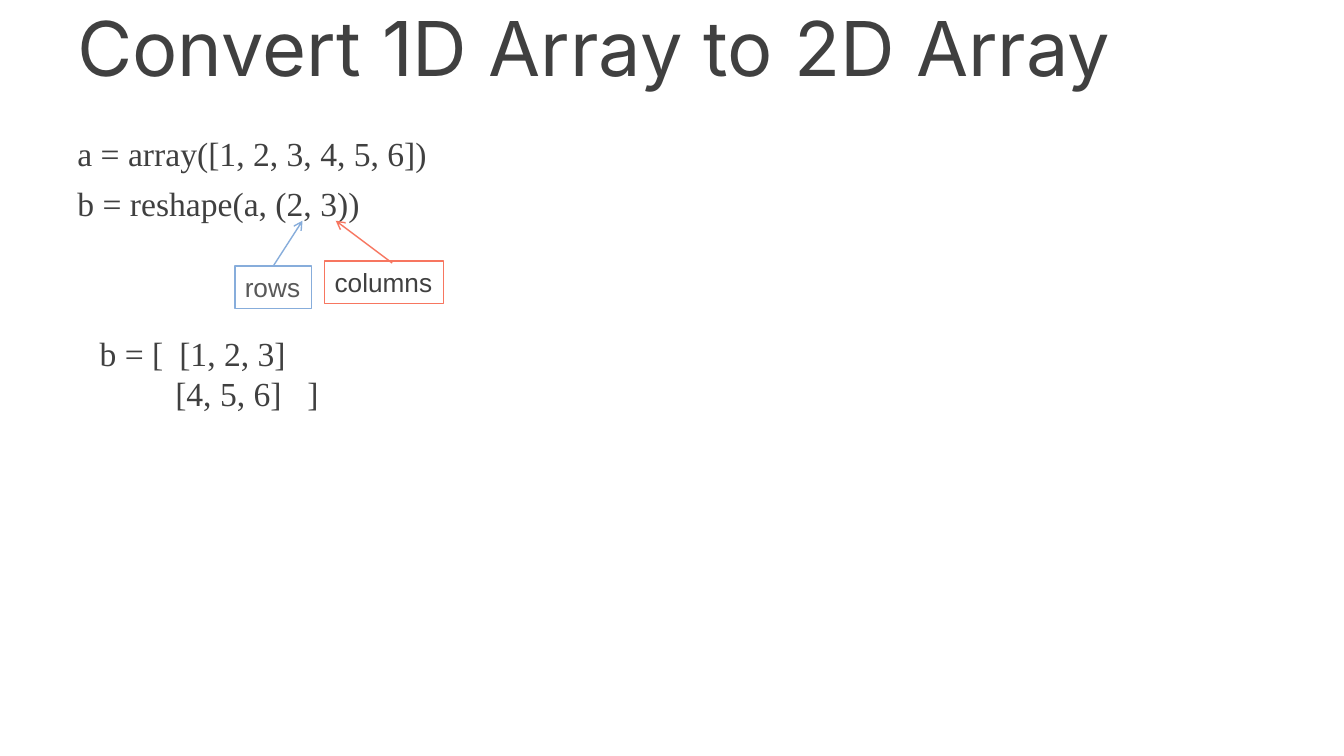
from lxml.etree import SubElement
from pptx import Presentation
from pptx.dml.color import RGBColor
from pptx.enum.shapes import MSO_CONNECTOR, MSO_SHAPE
from pptx.enum.text import MSO_ANCHOR, PP_ALIGN
from pptx.oxml.ns import qn
from pptx.util import Inches, Pt


def color(hex_value):
    return RGBColor.from_string(hex_value)


def add_text(paragraph, text, font, size, ink="404040"):
    run = paragraph.add_run()
    run.text = text
    run.font.name = font
    run.font.size = Pt(size)
    run.font.color.rgb = color(ink)


prs = Presentation()
prs.slide_width = Inches(13.33)
prs.slide_height = Inches(7.5)
slide = prs.slides.add_slide(prs.slide_layouts[6])
shapes = slide.shapes

title = shapes.add_textbox(Inches(0.67), Inches(0.06), Inches(12), Inches(1.25)).text_frame
title.word_wrap = True
title.paragraphs[0].line_spacing = 0.9
add_text(title.paragraphs[0], "Convert 1D Array to 2D Array", "Inter", 54)

code = shapes.add_textbox(Inches(0.67), Inches(1.31), Inches(12), Inches(5.89)).text_frame
code.word_wrap = True
for number, statement in enumerate(["a = array([1, 2, 3, 4, 5, 6])", "b = reshape(a, (2, 3))"]):
    paragraph = code.add_paragraph() if number else code.paragraphs[0]
    paragraph.line_spacing = 0.9
    paragraph.space_before = Pt(10)
    add_text(paragraph, statement, "Times New Roman", 24)

dimensions = [
    ("rows", 2.33, 2.64, 0.76, "87ADDB", "595959", (2.71, 2.64), (3, 2.19)),
    ("columns", 3.22, 2.59, 1.18, "F77660", "404040", (3.89, 2.61), (3.33, 2.19)),
]
for name, left, top, width, accent, ink, start, end in dimensions:
    label = shapes.add_shape(
        MSO_SHAPE.RECTANGLE, Inches(left), Inches(top), Inches(width), Inches(0.42)
    )
    label.shadow.inherit = False
    label.fill.solid()
    label.fill.fore_color.rgb = color("FFFFFF")
    label.line.color.rgb = color(accent)
    label.line.width = Pt(1)
    label.text_frame.word_wrap = False
    label.text_frame.vertical_anchor = MSO_ANCHOR.TOP
    label.text_frame.paragraphs[0].alignment = PP_ALIGN.LEFT
    add_text(label.text_frame.paragraphs[0], name, "Arial", 18.7, ink)

    arrow = shapes.add_connector(
        MSO_CONNECTOR.STRAIGHT, *[Inches(value) for value in start + end]
    )
    if name == "rows":
        arrow.begin_connect(label, 0)
    arrow.line.color.rgb = color(accent)
    arrow.line.width = Pt(1)
    SubElement(arrow.line._get_or_add_ln(), qn("a:tailEnd"), type="arrow")
    SubElement(arrow._element.spPr, qn("a:effectLst"))

result = shapes.add_textbox(Inches(0.89), Inches(3.25), Inches(2.5), Inches(0.91)).text_frame
result.word_wrap = True
matrix_rows = [("b = [\t[1, 2, 3]", [0.79]), ("\t[4, 5, 6]\t]", [0.75, 2.06])]
for number, (matrix_row, stops) in enumerate(matrix_rows):
    paragraph = result.add_paragraph() if number else result.paragraphs[0]
    tabs = SubElement(paragraph._p.get_or_add_pPr(), qn("a:tabLst"))
    for stop in stops:
        SubElement(tabs, qn("a:tab"), pos=str(Inches(stop)), algn="l")
    add_text(paragraph, matrix_row, "Times New Roman", 24)

prs.save("out.pptx")
